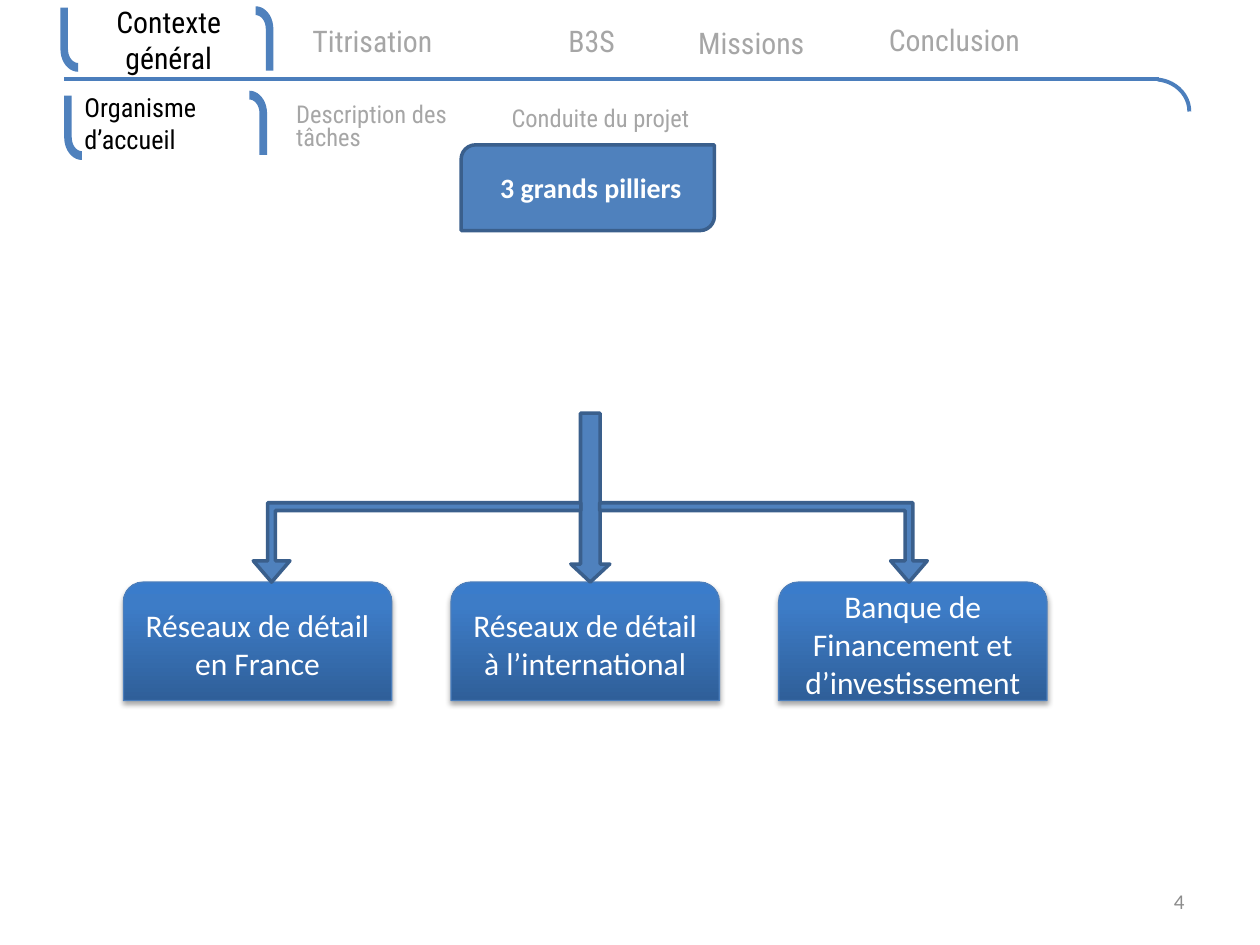
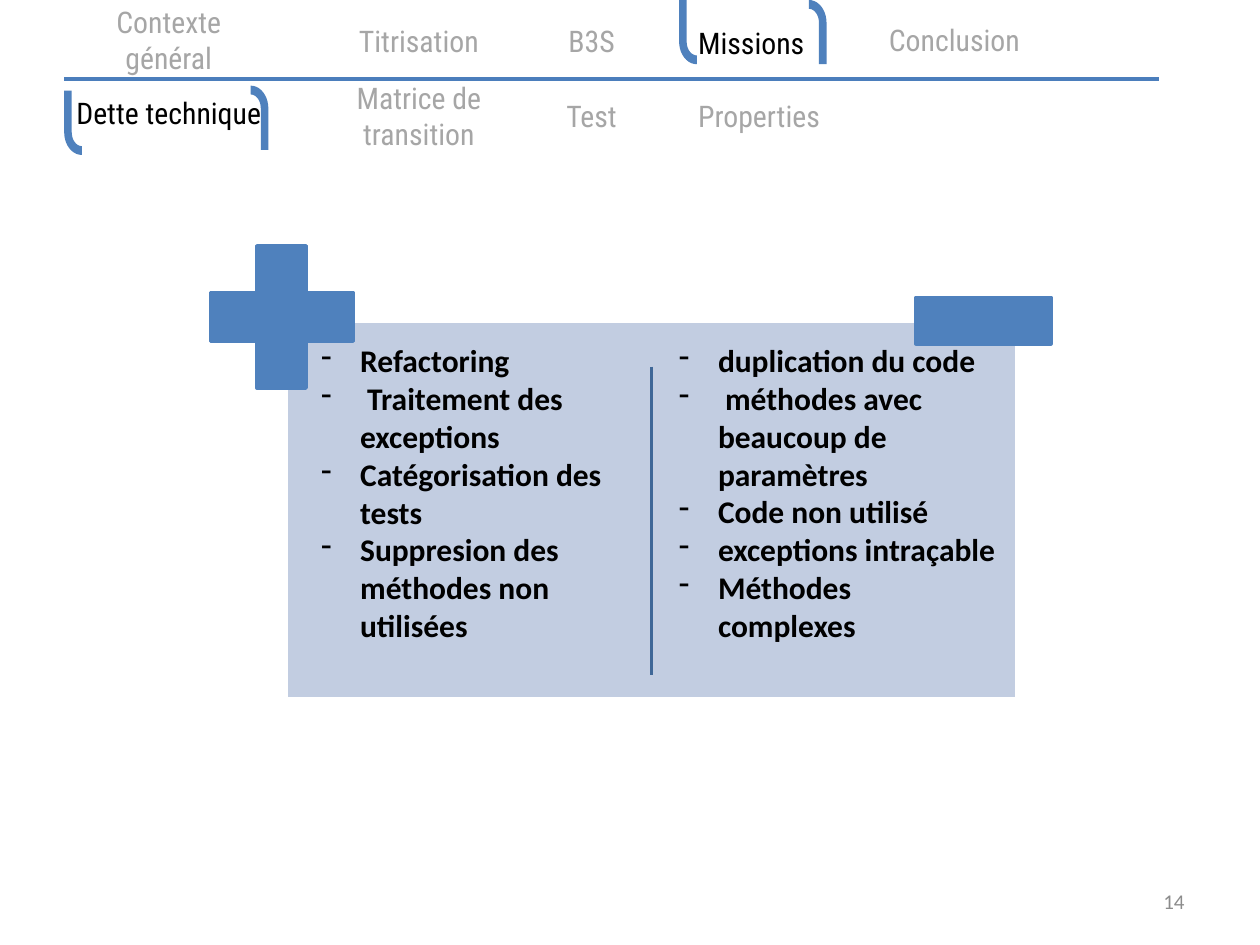
import copy
import math

from lxml import etree
from pptx import Presentation
from pptx import util as u
from pptx.dml.color import RGBColor
from pptx.enum import shapes, text
from pptx.oxml.ns import qn

BLUE = RGBColor(0x4F, 0x81, 0xBD)
RULE_BLUE = RGBColor(0x4B, 0x7E, 0xBC)
EDGE_BLUE = RGBColor(0x3A, 0x5F, 0x8C)
DIVIDER_BLUE = RGBColor(0x3F, 0x67, 0x97)
PANEL_BLUE = RGBColor(0xC2, 0xCD, 0xE1)
PILLAR_STOPS = [
    (0, RGBColor(0x2F, 0x5F, 0x99)),
    (0.8, RGBColor(0x3D, 0x7C, 0xC7)),
    (1, RGBColor(0x3A, 0x7C, 0xCB)),
]
WHITE = RGBColor(0xFF, 0xFF, 0xFF)
BLACK = RGBColor(0, 0, 0)
MUTED = RGBColor(0xA6, 0xA6, 0xA6)
PAGE_GREY = RGBColor(0x8C, 0x8C, 0x8C)

BODY_FONT = "Calibri"
NAV_FONT = "Roboto Condensed"
LEFT, CENTER, RIGHT = text.PP_ALIGN.LEFT, text.PP_ALIGN.CENTER, text.PP_ALIGN.RIGHT
TOP, MIDDLE = text.MSO_ANCHOR.TOP, text.MSO_ANCHOR.MIDDLE
KIND = shapes.MSO_SHAPE

CHAPTERS = [
    ("Contexte général", (0.49, 0.09, 1.7, 0.45)),
    ("Titrisation", (2.48, 0.08, 1.69, 0.49)),
    ("B3S", (3.85, 0.08, 1.69, 0.49)),
    ("Missions", (5.54, 0.13, 1.39, 0.42)),
    ("Conclusion", (6.73, 0.07, 1.69, 0.49)),
]


def inches(values):
    return [u.Inches(value) for value in values]


def quarter_arc(rx, ry, start, end, steps=10):
    """Points on an ellipse quarter that ends a bracket, angles in degrees."""
    angles = [math.radians(start + (end - start) * i / steps) for i in range(steps + 1)]
    return [(0.14 + rx * math.cos(a), 0.33 + ry * math.sin(a)) for a in angles]


BRACKET = [
    (0, 0),
    *quarter_arc(0.14, 0.18, 180, 90),
    *quarter_arc(0.08, 0.11, 90, 180),
    (0.06, 0),
]


class Deck:
    def __init__(self):
        self.prs = Presentation()
        self.prs.slide_width, self.prs.slide_height = inches((10, 7.5))
        self.slide = None

    def new_slide(self, number):
        self.slide = self.prs.slides.add_slide(self.prs.slide_layouts[6])
        self.text(str(number), (7.17, 6.95, 2.33, 0.4), size=12,
                  color=PAGE_GREY, align=RIGHT)

    def fill_text(self, frame, content, size=18, color=WHITE, font=BODY_FONT, bold=False,
                  align=CENTER, anchor=MIDDLE, inset=True, spacing=None, bullet=None):
        """Fill a text frame; content is one string or a list of paragraphs."""
        frame.word_wrap = True
        frame.vertical_anchor = anchor
        if not inset:
            frame.margin_left = frame.margin_right = 0
            frame.margin_top = frame.margin_bottom = 0
        lines = [content] if isinstance(content, str) else content
        for index, line in enumerate(lines):
            paragraph = frame.add_paragraph() if index else frame.paragraphs[0]
            paragraph.alignment = align
            if spacing:
                paragraph.line_spacing = spacing
            run = paragraph.add_run()
            run.text = line
            run.font.size, run.font.name = u.Pt(size), font
            run.font.bold, run.font.color.rgb = bold, color
            if bullet:
                props = paragraph._p.get_or_add_pPr()
                props.set("marL", str(u.Inches(0.31)))
                props.set("indent", str(-u.Inches(0.31)))
                etree.SubElement(props, qn("a:buChar"), char=bullet)

    def text(self, content, box, **style):
        textbox = self.slide.shapes.add_textbox(*inches(box))
        self.fill_text(textbox.text_frame, content, **style)

    def shape(self, kind, box, fill=BLUE, line=EDGE_BLUE, width=2, adjust=()):
        shape = self.slide.shapes.add_shape(kind, *inches(box))
        shape.shadow.inherit = False
        if fill is None:
            shape.fill.background()
        else:
            shape.fill.solid()
            shape.fill.fore_color.rgb = fill
        shape.line.color.rgb, shape.line.width = line, u.Pt(width)
        for index, value in enumerate(adjust):
            shape.adjustments[index] = value
        return shape

    def line(self, start, end, color, width):
        line = self.slide.shapes.add_connector(
            shapes.MSO_CONNECTOR.STRAIGHT, *inches(start + end))
        line.line.color.rgb, line.line.width = color, u.Pt(width)
        etree.SubElement(line.element.spPr, qn("a:effectLst"))

    def bracket(self, left, top, closing=False):
        """Draw a hooked bar; the closing one is turned half round."""
        points = [(0.14 - x, 0.51 - y) if closing else (x, y) for x, y in BRACKET]
        points = [inches((left + x, top + y)) for x, y in points]
        builder = self.slide.shapes.build_freeform(*points[0])
        builder.add_line_segments(points[1:], close=True)
        hook = builder.convert_to_shape()
        hook.shadow.inherit = False
        hook.fill.solid()
        hook.fill.fore_color.rgb = BLUE
        hook.line.fill.background()

    def bracket_pair(self, opening, closing):
        self.bracket(*opening)
        self.bracket(*closing, closing=True)

    def tab(self, label, box, active=False, size=17, **style):
        self.text(label, box, size=size, font=NAV_FONT,
                  color=BLACK if active else MUTED, **style)

    def chapters(self, active, left_aligned):
        self.line((0.51, 0.63), (9.2, 0.63), RULE_BLUE, 2.25)
        for label, box in CHAPTERS:
            self.tab(label, box, label == active, inset=label == CHAPTERS[0][0],
                     align=LEFT if label in left_aligned else CENTER)

    def pillar(self, label, left):
        box = self.shape(KIND.ROUND_2_SAME_RECTANGLE, (left, 4.62, 2.13, 0.94),
                         line=RULE_BLUE, width=0.75)
        box.fill.gradient()
        box.fill.gradient_angle = 90
        stops = box.element.spPr.find(".//" + qn("a:gsLst"))
        stops.append(copy.deepcopy(stops[-1]))
        for stop, (position, color) in zip(box.fill.gradient_stops, PILLAR_STOPS):
            stop.position, stop.color.rgb = position, color
        effects = box.element.spPr.find(qn("a:effectLst"))
        shadow = etree.SubElement(
            effects, qn("a:outerShdw"), blurRad=str(u.Pt(3.1)), dist=str(u.Pt(1.8)),
            dir="5400000", rotWithShape="0")
        black = etree.SubElement(shadow, qn("a:srgbClr"), val="000000")
        etree.SubElement(black, qn("a:alpha"), val="35000")
        self.fill_text(box.text_frame, label)

    def branch_arrow(self, left, mirrored=False):
        arrow = self.shape(KIND.BENT_UP_ARROW, (left, 3.99, 2.6, 0.63),
                           adjust=(0.097, 0.231, 0.269))
        arrow.rotation = 180
        if mirrored:
            arrow.element.spPr.find(qn("a:xfrm")).set("flipH", "1")


def pillars_slide(deck):
    deck.new_slide(4)
    deck.chapters("Contexte général", ("Missions", "Titrisation"))
    deck.shape(KIND.ARC, (8.88, 0.63, 0.56, 0.51), fill=None, line=RULE_BLUE,
               width=2.25, adjust=(165.967, 0))
    deck.bracket_pair((0.48, 0.06), (2.03, 0.05))

    pillars = ["Réseaux de détail en France", "Réseaux de détail à l’international",
               "Banque de Financement et d’investissement"]
    for index, label in enumerate(pillars):
        deck.pillar(label, 0.98 + 2.6 * index)
    deck.shape(KIND.DOWN_ARROW, (4.53, 3.28, 0.31, 1.34), adjust=(0.5, 0.462))
    deck.branch_arrow(4.76, mirrored=True)
    deck.branch_arrow(2.01)
    heading = deck.shape(KIND.ROUND_2_DIAG_RECTANGLE, (3.66, 1.15, 2.01, 0.68))
    deck.fill_text(heading.text_frame, " 3 grands pilliers", size=16, bold=True)

    sub_style = dict(inset=False, align=LEFT)
    deck.tab("Organisme d’accueil", (0.67, 0.75, 1.6, 0.45), True, size=15, **sub_style)
    deck.tab("Description des tâches", (2.35, 0.79, 1.42, 0.45), size=14,
             spacing=0.8, **sub_style)
    deck.tab("Conduite du projet", (4.06, 0.73, 1.42, 0.45), size=14,
             spacing=0.8, **sub_style)
    deck.bracket_pair((0.51, 0.76), (1.98, 0.72))


def technical_debt_slide(deck):
    deck.new_slide(14)
    deck.chapters("Missions", ("Missions",))
    deck.bracket_pair((5.39, 0), (6.42, 0))
    deck.tab("Dette technique", (0.49, 0.67, 1.7, 0.45), True)
    deck.tab("Matrice de transition", (2.48, 0.67, 1.69, 0.49), inset=False)
    deck.tab("Test", (3.85, 0.67, 1.69, 0.49), inset=False)
    deck.tab("Properties", (5.54, 0.71, 1.39, 0.42), inset=False, align=LEFT)
    deck.bracket_pair((0.51, 0.72), (1.99, 0.68))

    deck.shape(KIND.RECTANGLE, (2.27, 2.55, 5.8, 3), fill=PANEL_BLUE, line=WHITE)
    deck.shape(KIND.CROSS, (1.67, 1.95, 1.13, 1.13), line=BLUE, adjust=(0.328,))
    deck.shape(KIND.RECTANGLE, (7.27, 2.36, 1.07, 0.37), line=BLUE)
    deck.line((5.17, 2.91), (5.17, 5.36), DIVIDER_BLUE, 2)

    drawbacks = ["duplication du code", " méthodes avec beaucoup de paramètres",
                 "Code non utilisé", "exceptions intraçable", "Méthodes complexes"]
    benefits = ["Refactoring", " Traitement des exceptions",
                "Catégorisation des tests", "Suppresion des méthodes non utilisées"]
    for points, box in ((drawbacks, (5.29, 2.66, 2.71, 2.83)),
                        (benefits, (2.45, 2.66, 2.71, 2.52))):
        deck.text(points, box, color=BLACK, bold=True, align=LEFT, anchor=TOP, bullet="-")


def main():
    deck = Deck()
    pillars_slide(deck)
    technical_debt_slide(deck)
    deck.prs.save("out.pptx")


if __name__ == "__main__":
    main()
